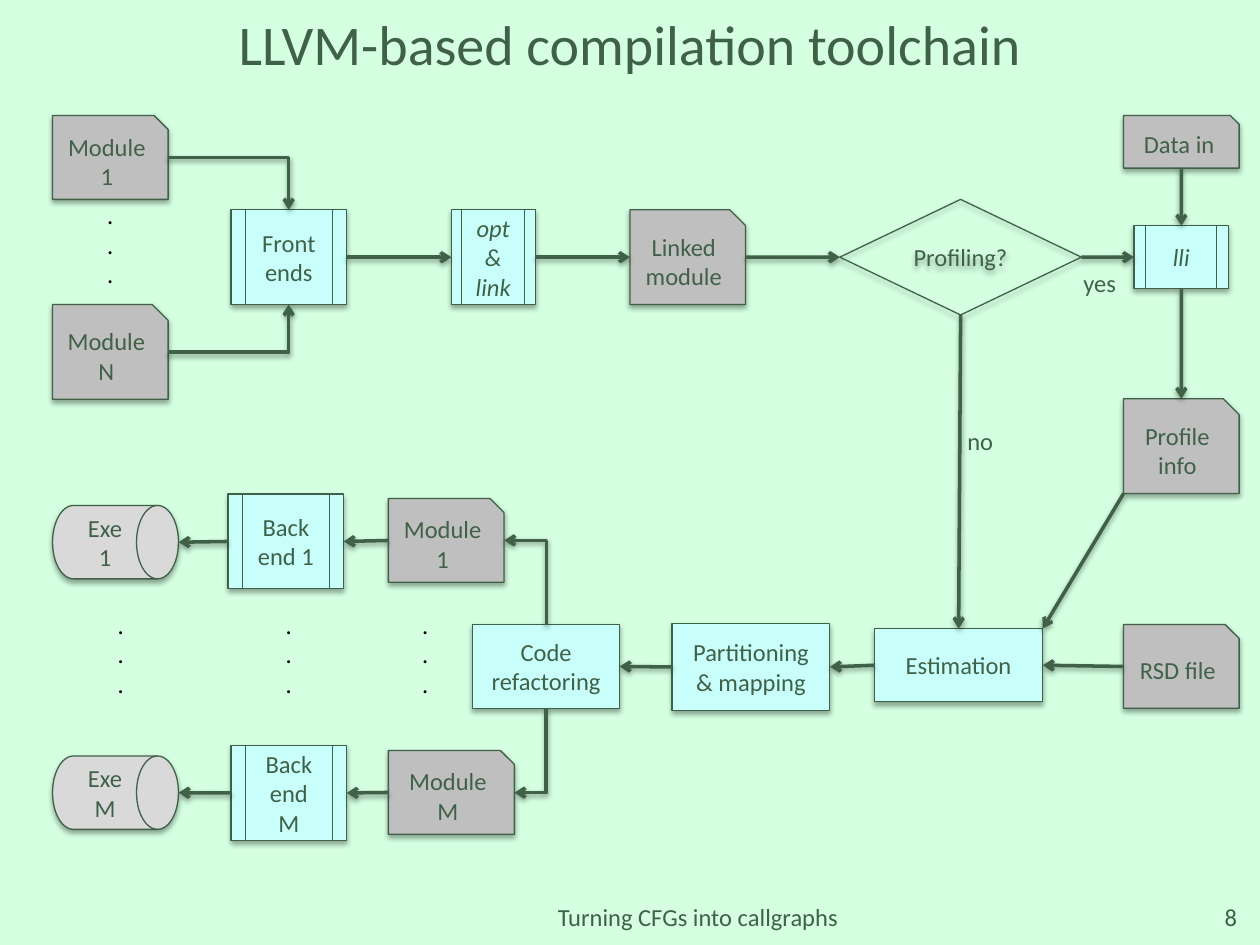
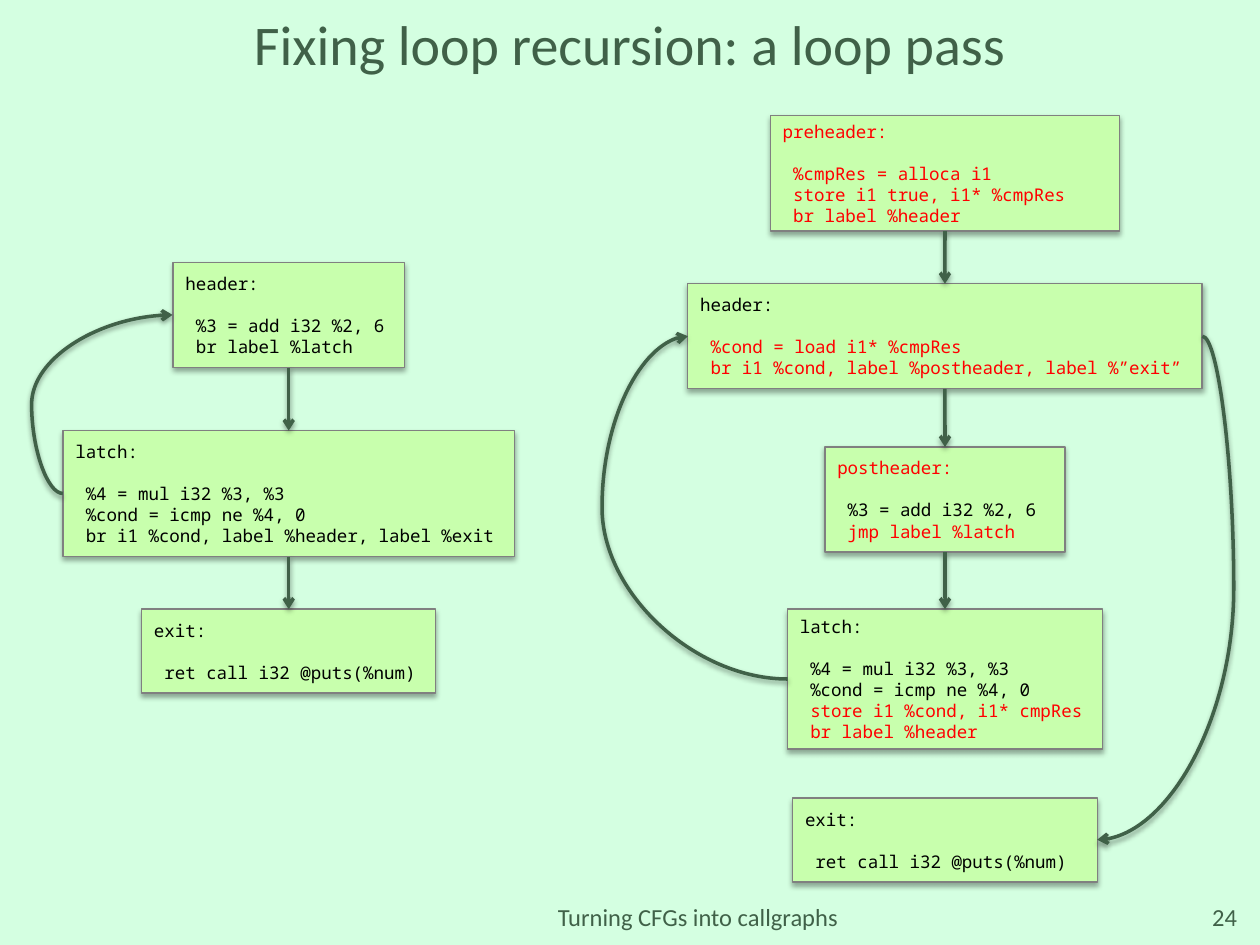
from itertools import pairwise

from lxml.etree import SubElement
from pptx import Presentation
from pptx.dml.color import RGBColor
from pptx.enum.shapes import MSO_CONNECTOR, MSO_SHAPE
from pptx.enum.text import MSO_ANCHOR, MSO_AUTO_SIZE, PP_ALIGN
from pptx.oxml.ns import qn
from pptx.util import Cm, Pt

COLOURS = {
    "background": "D4FFE1", "ink": "406148", "file": "BFBFBF", "tool": "C8FFFA",
    "program": "D9D9D9", "code": "C8FFAD", "code_edge": "808080",
    "black": "000000", "changed": "FF0000",
}
RGB = {name: RGBColor.from_string(value) for name, value in COLOURS.items()}
TOP, LEFT, BOTTOM, RIGHT = range(4)


def write_text(shape, lines, size=14, font="Calibri", align=PP_ALIGN.CENTER,
               anchor=MSO_ANCHOR.MIDDLE, italic=False):
    """Write one paragraph for each (text, colour name) pair."""
    frame = shape.text_frame
    frame.word_wrap = True
    frame.auto_size = MSO_AUTO_SIZE.NONE
    frame.vertical_anchor = anchor
    for number, (text, colour) in enumerate(lines):
        paragraph = frame.add_paragraph() if number else frame.paragraphs[0]
        paragraph.alignment = align
        run = paragraph.add_run()
        run.text = text
        run.font.name = font
        run.font.size = Pt(size)
        run.font.italic = italic
        run.font.color.rgb = RGB[colour]


def add_box(slide, kind, box, fill, outline="ink"):
    shape = slide.shapes.add_shape(kind, *map(Cm, box))
    if fill:
        shape.fill.solid()
        shape.fill.fore_color.rgb = RGB[fill]
    else:
        shape.fill.background()
    shape.line.color.rgb = RGB[outline]
    shape.line.width = Pt(0.75)
    return shape


presentation = Presentation()
presentation.slide_width = Cm(25.4)
presentation.slide_height = Cm(19.05)

# Shared background, title and footer
background = presentation.slide_master.background.fill
background.solid()
background.fore_color.rgb = RGB["background"]

layout = presentation.slide_layouts[5]
layout_title = layout.placeholders[0]
layout_title.left, layout_title.top = Cm(0.42), Cm(0.42)
layout_title.width, layout_title.height = Cm(24.56), Cm(0.9)

slides = []
for title, number in (
    ("LLVM-based compilation toolchain", "8"),
    ("Fixing loop recursion: a loop pass", "24"),
):
    slide = presentation.slides.add_slide(layout)
    write_text(slide.shapes.title, [(title, "ink")], size=32)
    for left, width, text, align in (
        (23.28, 1.91, number, PP_ALIGN.RIGHT),
        (5.08, 17.98, "Turning CFGs into callgraphs", PP_ALIGN.CENTER),
    ):
        footer = slide.shapes.add_textbox(Cm(left), Cm(17.98), Cm(width), Cm(1.02))
        write_text(footer, [(text, "ink")], align=align)
    slides.append(slide)
toolchain, loop_pass = slides

# Toolchain: nodes
FILE = (MSO_SHAPE.SNIP_1_RECTANGLE, "file")
TOOL = (MSO_SHAPE.FLOWCHART_PREDEFINED_PROCESS, "tool")
STEP = (MSO_SHAPE.RECTANGLE, "tool")
CHOICE = (MSO_SHAPE.FLOWCHART_DECISION, None)
PROGRAM = (MSO_SHAPE.FLOWCHART_DIRECT_ACCESS_STORAGE, "program")

nodes = {}
for name, style, box, text in (
    ("module 1", FILE, (1.06, 2.33, 2.33, 1.69), "Module 1"),
    ("module n", FILE, (1.06, 6.14, 2.33, 1.91), "Module N"),
    ("front ends", TOOL, (4.66, 4.23, 2.33, 1.91), "Front ends"),
    ("opt", TOOL, (9.1, 4.23, 1.69, 1.91), "opt & link"),
    ("linked", FILE, (12.7, 4.23, 2.33, 1.91), "Linked\nmodule"),
    ("profiling", CHOICE, (16.93, 4.02, 4.87, 2.33), "Profiling?"),
    ("data in", FILE, (22.65, 2.33, 2.33, 1.06), "Data in"),
    ("lli", TOOL, (22.86, 4.55, 1.91, 1.27), "lli"),
    ("profile", FILE, (22.65, 8.04, 2.33, 1.91), "Profile\ninfo"),
    ("rsd", FILE, (22.65, 12.59, 2.33, 1.69), "RSD file"),
    ("estimation", STEP, (17.63, 12.67, 3.39, 1.48), "Estimation"),
    ("partitioning", STEP, (13.55, 12.57, 3.18, 1.75), "Partitioning & mapping"),
    ("refactoring", STEP, (9.53, 12.59, 2.96, 1.69), "Code refactoring"),
    ("output 1", FILE, (7.83, 10.05, 2.33, 1.69), "Module 1"),
    ("output m", FILE, (7.83, 15.13, 2.54, 1.69), "Module M"),
    ("back end 1", TOOL, (4.6, 9.96, 2.33, 1.91), "Back end 1"),
    ("back end m", TOOL, (4.66, 15.03, 2.33, 1.91), "Back end M"),
    ("exe 1", PROGRAM, (1.06, 10.19, 2.54, 1.48), "Exe\n1"),
    ("exe m", PROGRAM, (1.06, 15.24, 2.54, 1.48), "Exe\nM"),
):
    kind, fill = style
    nodes[name] = add_box(toolchain, kind, box, fill)
    write_text(nodes[name], [(line, "ink") for line in text.split("\n")],
               italic=name in ("opt", "lli"))

# Toolchain: ellipses and branch labels
for left, top in ((1.91, 3.91), (2.12, 12.17), (5.51, 12.17), (8.26, 12.17)):
    dots = toolchain.shapes.add_textbox(Cm(left), Cm(top), Cm(0.85), Cm(2.06))
    write_text(dots, [(".", "black")] * 3, align=PP_ALIGN.LEFT, anchor=MSO_ANCHOR.TOP)

for text, left, top, width in (("yes", 21.59, 5.28, 1.17), ("no", 19.25, 8.46, 1.04)):
    label = toolchain.shapes.add_textbox(Cm(left), Cm(top), Cm(width), Cm(0.86))
    write_text(label, [(text, "ink")], align=PP_ALIGN.LEFT, anchor=MSO_ANCHOR.TOP)
    label.text_frame.word_wrap = False

# Toolchain: arrows
arrows = []
for start, start_side, end, end_side in (
    ("front ends", RIGHT, "opt", LEFT),
    ("opt", RIGHT, "linked", LEFT),
    ("linked", RIGHT, "profiling", LEFT),
    ("profiling", RIGHT, "lli", LEFT),
    ("profiling", BOTTOM, "estimation", TOP),
    ("data in", BOTTOM, "lli", TOP),
    ("lli", BOTTOM, "profile", TOP),
    ("rsd", LEFT, "estimation", RIGHT),
    ("estimation", LEFT, "partitioning", RIGHT),
    ("partitioning", LEFT, "refactoring", RIGHT),
    ("output 1", LEFT, "back end 1", RIGHT),
    ("output m", LEFT, "back end m", RIGHT),
):
    arrow = toolchain.shapes.add_connector(MSO_CONNECTOR.STRAIGHT, 0, 0, 0, 0)
    arrow.begin_connect(nodes[start], start_side)
    arrow.end_connect(nodes[end], end_side)
    arrows.append(arrow)

for suffix in ("1", "m"):
    program = nodes[f"exe {suffix}"]
    arrow = toolchain.shapes.add_connector(
        MSO_CONNECTOR.STRAIGHT, 0, 0,
        program.left + program.width, program.top + program.height // 2)
    arrow.begin_connect(nodes[f"back end {suffix}"], LEFT)
    arrows.append(arrow)

profile, estimation = nodes["profile"], nodes["estimation"]
arrows.append(toolchain.shapes.add_connector(
    MSO_CONNECTOR.STRAIGHT, profile.left, profile.top + profile.height,
    estimation.left + estimation.width, estimation.top))

# Elbows are given before rotation; a quarter turn makes them leave vertically
for begin_x, begin_y, end_x, end_y, degrees in (
    (3.39, 3.18, 5.82, 4.23, 0),
    (3.39, 7.1, 5.82, 6.14, 0),
    (9.74, 12.17, 11.44, 11.32, 270),
    (9.84, 14.81, 11.54, 15.45, 90),
):
    arrow = toolchain.shapes.add_connector(
        MSO_CONNECTOR.ELBOW, Cm(begin_x), Cm(begin_y), Cm(end_x), Cm(end_y))
    properties = arrow.element.spPr
    properties.find(qn("a:prstGeom")).set("prst", "bentConnector2")
    if degrees:
        properties.find(qn("a:xfrm")).set("rot", str(degrees * 60000))
    arrows.append(arrow)

# Loop pass: two columns of code blocks (top, width, height, lines, changed lines)
before = (
    (5.29, 4.66, 2.12, ("header:", " %3 = add i32 %2, 6", " br label %latch"), ()),
    (8.68, 9.1, 2.54, ("latch:", " %4 = mul i32 %3, %3", " %cond = icmp ne %4, 0",
                       " br i1 %cond, label %header, label %exit"), ()),
    (12.28, 5.93, 1.69, ("exit:", " ret call i32 @puts(%num)"), ()),
)
after = (
    (2.33, 7.04, 2.33, ("preheader:", " %cmpRes = alloca i1",
                        " store i1 true, i1* %cmpRes", " br label %header"),
     (0, 1, 2, 3)),
    (5.72, 10.37, 2.12, ("header:", " %cond = load i1* %cmpRes",
                         " br i1 %cond, label %postheader, label %”exit”"), (1, 2)),
    (9.01, 4.84, 2.12, ("postheader:", " %3 = add i32 %2, 6", " jmp label %latch"),
     (0, 2)),
    (12.28, 6.35, 2.82, ("latch:", " %4 = mul i32 %3, %3", " %cond = icmp ne %4, 0",
                         " store i1 %cond, i1* cmpRes", " br label %header"), (3, 4)),
    (16.09, 6.14, 1.69, ("exit:", " ret call i32 @puts(%num)"), ()),
)
code_blocks = []
for centre, blocks, chained in ((5.82, before, 3), (19.05, after, 4)):
    column = []
    for top, width, height, lines, changed in blocks:
        block = add_box(loop_pass, MSO_SHAPE.RECTANGLE,
                        (centre - width / 2, top, width, height), "code", "code_edge")
        write_text(block, [(line, "changed" if index in changed else "black")
                           for index, line in enumerate(lines)],
                   size=10, font="Noto Sans Mono", align=PP_ALIGN.LEFT)
        block.text_frame.paragraphs[1].space_before = Pt(12)
        column.append(block)
    for upper, lower in pairwise(column[:chained]):
        arrow = loop_pass.shapes.add_connector(MSO_CONNECTOR.STRAIGHT, 0, 0, 0, 0)
        arrow.begin_connect(upper, BOTTOM)
        arrow.end_connect(lower, TOP)
        arrows.append(arrow)
    code_blocks += column

# Loop pass: curved jumps
for begin_x, begin_y, end_x, end_y, bulge in (
    (1.27, 9.95, 3.48, 6.35, -28600),
    (15.88, 13.69, 13.87, 6.78, 186200),
    (24.24, 6.78, 22.12, 16.93, -29900),
):
    arrow = loop_pass.shapes.add_connector(
        MSO_CONNECTOR.CURVE, Cm(begin_x), Cm(begin_y), Cm(end_x), Cm(end_y))
    adjustments = arrow.element.spPr.find(qn("a:prstGeom")).get_or_add_avLst()
    SubElement(adjustments, qn("a:gd"), name="adj1", fmla=f"val {bulge}")
    arrows.append(arrow)

# Arrow lines, then soft shadows under everything drawn
for arrow in arrows:
    arrow.line.color.rgb = RGB["ink"]
    arrow.line.width = Pt(2)
    SubElement(arrow.element.spPr.find(qn("a:ln")), qn("a:tailEnd"), type="arrow")

for shapes, distance, opacity in (
    ([*nodes.values(), *code_blocks], 1.8, 35),
    (arrows, 1.6, 38),
):
    for shape in shapes:
        effects = SubElement(shape.element.spPr, qn("a:effectLst"))
        shadow = SubElement(effects, qn("a:outerShdw"), blurRad=str(Pt(3.1)),
                            dist=str(Pt(distance)), dir="5400000", rotWithShape="0")
        shade = SubElement(shadow, qn("a:srgbClr"), val=COLOURS["black"])
        SubElement(shade, qn("a:alpha"), val=str(opacity * 1000))

presentation.save("out.pptx")
